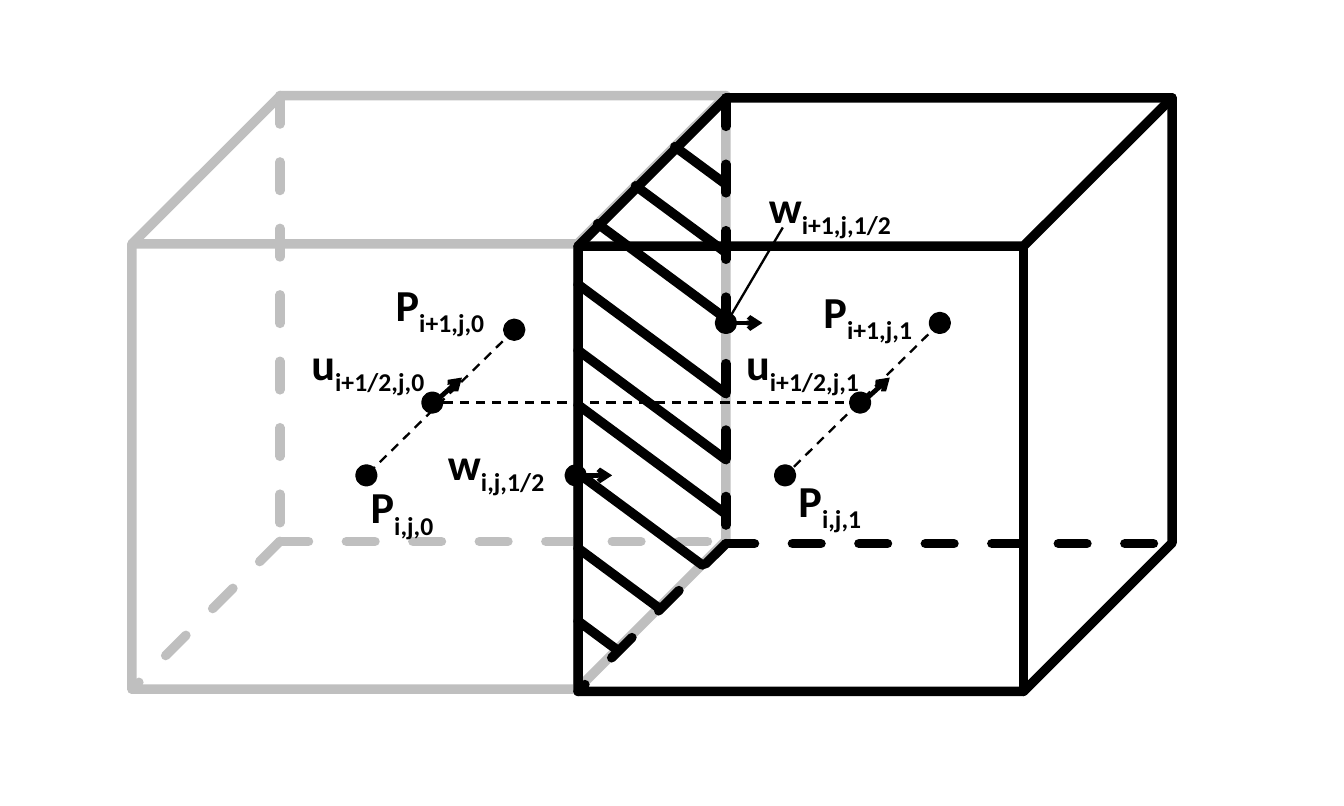
from lxml import etree
from pptx import Presentation
from pptx import util as u
from pptx.dml.color import RGBColor
from pptx.enum import dml, shapes, text
from pptx.oxml.ns import qn

CM_PER_INCH = 2.54
PAGE_CM = (15, 9)
BLACK, GREY = "000000", "BFBFBF"
SIZE, DEPTH = 2.61, 0.65
FRONT = SIZE - DEPTH
TOP, GREY_LEFT, BLACK_LEFT = 0.42, 0.58, 2.54
HATCH_SLOPE = 0.74
HATCH_STARTS = (-0.09, 0.21, 0.5, 0.83, 1.12, 1.36, 1.66, 1.99, 2.31)
DOT = 0.07

# Each node: symbol, subscript, dot, label corner, label width; all from the cube corner
LEFT_NODES = (
    ("P", "i,j,0", (1.03, 1.67), (0.95, 1.64), 0.51),
    ("u", "i+1/2,j,0", (1.32, 1.35), (0.69, 1.01), 0.76),
    ("P", "i+1,j,0", (1.68, 1.03), (1.06, 0.75), 0.64),
)
RIGHT_NODES = (
    ("P", "i,j,1", (0.91, 1.67), (0.87, 1.61), 0.51),
    ("u", "i+1/2,j,1", (1.24, 1.35), (0.64, 1.01), 0.76),
    ("P", "i+1,j,1", (1.59, 1.0), (0.98, 0.78), 0.64),
)
WALL_NODES = (
    ("w", "i,j,1/2", (-0.01, 1.67), (-0.67, 1.45), 0.67),
    ("w", "i+1,j,1/2", (0.65, 1.0), (0.74, 0.32), 0.8),
)


def rgb(value):
    return RGBColor.from_string(value)


def shift(point, dx, dy):
    return point[0] + dx, point[1] + dy


def style_line(shape, color, width, dashed=False, arrow=False):
    """Heavy lines get round caps and joins."""
    line = shape.line
    line.fill.solid()
    line.fill.fore_color.rgb = rgb(color)
    line.width = u.Pt(width)
    if dashed:
        line.dash_style = dml.MSO_LINE.DASH
    outline = shape._element.spPr.find(qn("a:ln"))
    if width >= 3:
        outline.set("cap", "rnd")
        etree.SubElement(outline, qn("a:round"))
    if arrow:
        etree.SubElement(outline, qn("a:tailEnd"), type="arrow", w="sm", len="sm")


def add_line(canvas, start, end, color=BLACK, width=3, dashed=False, arrow=False):
    ends = [u.Inches(value) for value in (*start, *end)]
    line = canvas.shapes.add_connector(shapes.MSO_CONNECTOR.STRAIGHT, *ends)
    style_line(line, color, width, dashed, arrow)
    etree.SubElement(line._element.spPr, qn("a:effectLst"))


def add_dot(page, center):
    left, top = shift(center, -DOT / 2, -DOT / 2)
    dot = page.shapes.add_shape(shapes.MSO_SHAPE.OVAL, u.Inches(left), u.Inches(top),
                                u.Inches(DOT), u.Inches(DOT))
    dot.shadow.inherit = False
    dot.fill.solid()
    dot.fill.fore_color.rgb = rgb(BLACK)
    style_line(dot, BLACK, 2)


def add_span(para, words, size=14, color=BLACK, font="Calibri", subscript=False):
    span = para.add_run()
    span.text = words
    span.font.size = u.Pt(size)
    span.font.name = font
    span.font.bold = True
    span.font.color.rgb = rgb(color)
    if subscript:
        span._r.get_or_add_rPr().set("baseline", "-25000")


def add_label(page, symbol, index, corner, width):
    box = page.shapes.add_textbox(u.Inches(corner[0]), u.Inches(corner[1]),
                                  u.Inches(width), u.Inches(0.34))
    frame = box.text_frame
    frame.word_wrap = False
    frame.auto_size = text.MSO_AUTO_SIZE.SHAPE_TO_FIT_TEXT
    para = frame.paragraphs[0]
    add_span(para, symbol)
    add_span(para, index, subscript=True)


def add_node(page, corner, symbol, index, dot, label, width):
    """Draws one labelled dot and returns its centre."""
    center = shift(dot, *corner)
    add_dot(page, center)
    add_label(page, symbol, index, shift(label, *corner), width)
    return center


def add_wire_cube(page, left, top, color):
    group = page.shapes.add_group_shape()
    cube = group.shapes.add_shape(shapes.MSO_SHAPE.CUBE, u.Inches(left), u.Inches(top),
                                  u.Inches(SIZE), u.Inches(SIZE))
    cube.shadow.inherit = False
    cube.fill.background()
    style_line(cube, color, 3)
    hidden = (left + DEPTH, top + FRONT)
    for start, end in ((hidden, (left + SIZE, top + FRONT)),
                       (hidden, (left, top + SIZE)),
                       ((left + DEPTH, top), hidden)):
        add_line(group, start, end, color, dashed=True)


def add_cell_nodes(page, left, top, nodes):
    """Draws the diagonal of one cell and returns the centre of its velocity dot."""
    near, middle, far = [add_node(page, (left, top), *node) for node in nodes]
    add_line(page, far, near, width=0.75, dashed=True)
    add_line(page, shift(middle, 0.03, -0.02), shift(middle, 0.13, -0.11),
             width=1.5, arrow=True)
    return middle


def add_hatching(page, left, top):
    """Parallel strokes clipped to the slanted wall between the cubes."""
    for start in HATCH_STARTS:
        near = max(0, (DEPTH - start) / (1 + HATCH_SLOPE))
        far = min(DEPTH, (SIZE - start) / (1 + HATCH_SLOPE))
        add_line(page, *[(left + x, top + start + HATCH_SLOPE * x) for x in (far, near)])


def add_wall_nodes(page, left, top):
    for node in WALL_NODES:
        center = add_node(page, (left, top), *node)
        add_line(page, shift(center, 0.02, 0), shift(center, 0.16, 0), width=1.5, arrow=True)
    add_line(page, (left + 0.67, top + 0.97), (left + 0.9, top + 0.58), width=0.75)


def main():
    deck = Presentation()
    deck.slide_width, deck.slide_height = [u.Inches(side / CM_PER_INCH) for side in PAGE_CM]
    page = deck.slides.add_slide(deck.slide_layouts[6])
    add_wire_cube(page, GREY_LEFT, TOP, GREY)
    add_wire_cube(page, BLACK_LEFT, TOP + 0.01, BLACK)
    left_velocity = add_cell_nodes(page, GREY_LEFT, TOP, LEFT_NODES)
    right_velocity = add_cell_nodes(page, BLACK_LEFT, TOP, RIGHT_NODES)
    add_hatching(page, BLACK_LEFT, TOP)
    add_line(page, right_velocity, left_velocity, width=0.75, dashed=True)
    add_wall_nodes(page, BLACK_LEFT, TOP)
    deck.save("out.pptx")


if __name__ == "__main__":
    main()
